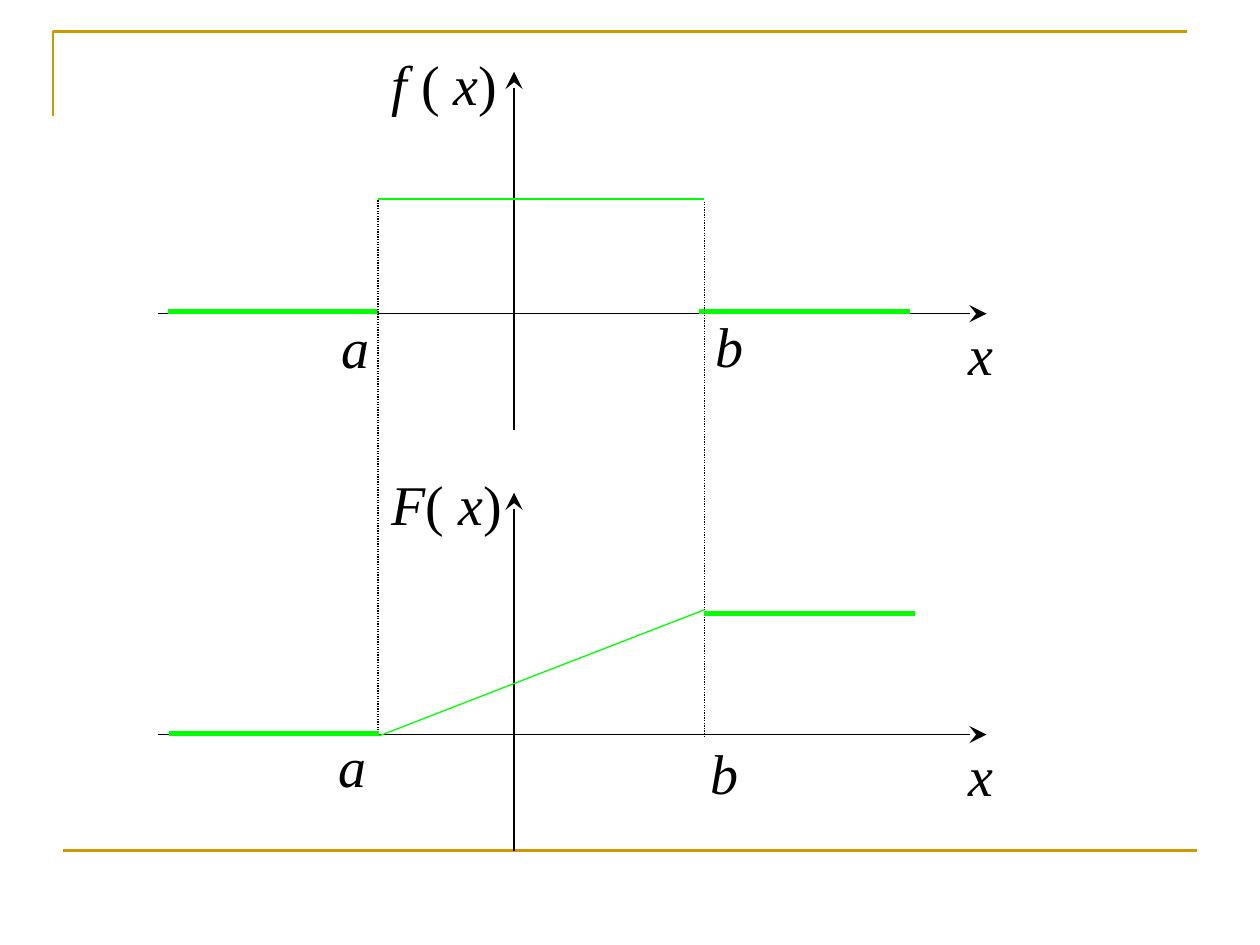
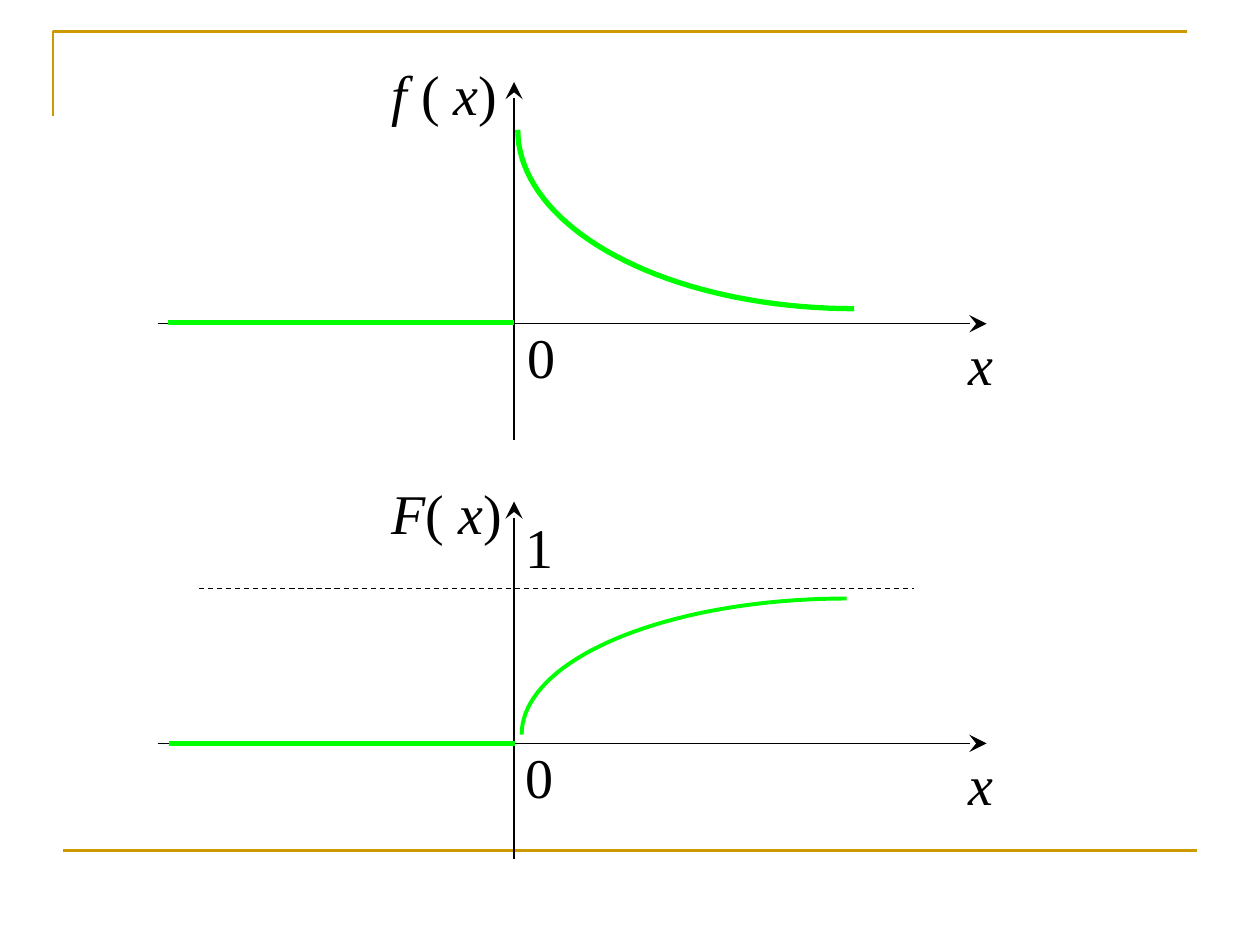
from itertools import groupby
from math import cos, pi, sin

from lxml.etree import SubElement as Sub
from pptx import Presentation as Deck
from pptx.dml.color import RGBColor as RGB
from pptx.enum.dml import MSO_LINE as Dash
from pptx.enum.shapes import MSO_CONNECTOR as Conn
from pptx.enum.text import MSO_AUTO_SIZE as Fit
from pptx.oxml.ns import qn
from pptx.util import Pt

SCALE = 9144


def px(*sizes):
    return [round(size * SCALE) for size in sizes]


def color(code):
    return RGB.from_string(code)


class Page:
    INK = "000000"
    GREEN = "00FF00"
    GOLD = "CC9900"
    FONT = "Times New Roman"
    LEFT, RIGHT, MID = 125, 783, 408

    def __init__(self, deck):
        self.shapes = deck.slides.add_slide(deck.slide_layouts[6]).shapes
        self.trace([(42, 92), (42, 25), (942, 25)], self.GOLD, 1.5)
        self.line(50, 675, 950, 675, self.GOLD, 1.5)

    def pen(self, shape, ink, width):
        shape.line.color.rgb = color(ink)
        shape.line.width = Pt(width)

    def line(self, x1, y1, x2, y2, ink=INK, width=0.75, dash=None, arrow=False):
        line = self.shapes.add_connector(Conn.STRAIGHT, *px(x1, y1, x2, y2))
        self.pen(line, ink, width)
        if dash:
            line.line.dash_style = dash
        if arrow:
            Sub(line.get_or_add_ln(), qn("a:tailEnd"), type="stealth", w="lg", len="lg")
        Sub(line.element.spPr, qn("a:effectLst"))

    def trace(self, points, ink, width):
        first, *rest = [px(*point) for point in points]
        pen = self.shapes.build_freeform(*first)
        pen.add_line_segments(rest, close=False)
        shape = pen.convert_to_shape()
        shape.fill.background()
        shape.shadow.inherit = False
        self.pen(shape, ink, width)

    def curve(self, x1, y1, x2, y2, width, steps=40):
        turns = [pi / 2 * step / steps for step in range(steps + 1)]
        points = [(x2 - (x2 - x1) * cos(t), y1 + (y2 - y1) * sin(t)) for t in turns]
        self.trace(points, self.GREEN, width)

    def text(self, words, x, y, wide=42, high=64, size=32, ink=INK):
        frame = self.shapes.add_textbox(*px(x, y, wide, high)).text_frame
        frame.word_wrap = False
        frame.auto_size = Fit.SHAPE_TO_FIT_TEXT
        for slant, chars in groupby(words, str.isalpha):
            run = frame.paragraphs[0].add_run()
            run.text = "".join(chars)
            font = run.font
            font.name, font.size, font.italic = self.FONT, Pt(size), slant
            font.color.rgb = color(ink)

    def axes(self, title, base):
        self.line(self.LEFT, base, self.RIGHT, base, arrow=True)
        self.line(self.MID, base + 92, self.MID, base - 192, arrow=True)
        self.text("x", 759, base, wide=40)
        self.text(title, 301, base - 215, wide=110)

    def plots(self, top, low):
        self.axes("f ( x)", top)
        self.axes("F( x)", low)

    def level(self, x1, x2, y, width=3):
        self.line(x1, y, x2, y, self.GREEN, width)


def even(deck):
    a, b = 300, 559
    page = Page(deck)
    page.plots(249, 583)
    page.text("a", 261, 243)
    page.text("b", 558, 242)
    page.level(a, b, 158, 0.75)
    page.level(133, a, 247)
    page.level(555, 722, 247)
    page.line(a, 159, a, 584, dash=Dash.ROUND_DOT)
    page.line(b, 160, b, 585, dash=Dash.ROUND_DOT)
    page.text("b", 554, 581)
    page.text("a", 259, 576)
    page.level(134, a + 1, 582)
    page.level(b, 726, 487)
    page.line(b, 484, a + 1, 584, page.GREEN)


def decay(deck):
    page = Page(deck)
    page.line(158, 467, 725, 467, dash=Dash.DASH)
    page.text("1", 407, 402)
    page.plots(257, 590)
    page.level(134, 409, 590)
    page.curve(414, 583, 672, 475, 2.25)
    page.text("0", 407, 584)
    page.curve(411, 103, 678, 245, 3)
    page.level(133, 408, 256)
    page.text("0", 409, 251)


def main():
    deck = Deck()
    deck.slide_width, deck.slide_height = px(1000, 750)
    even(deck)
    decay(deck)
    deck.save("out.pptx")


if __name__ == "__main__":
    main()
